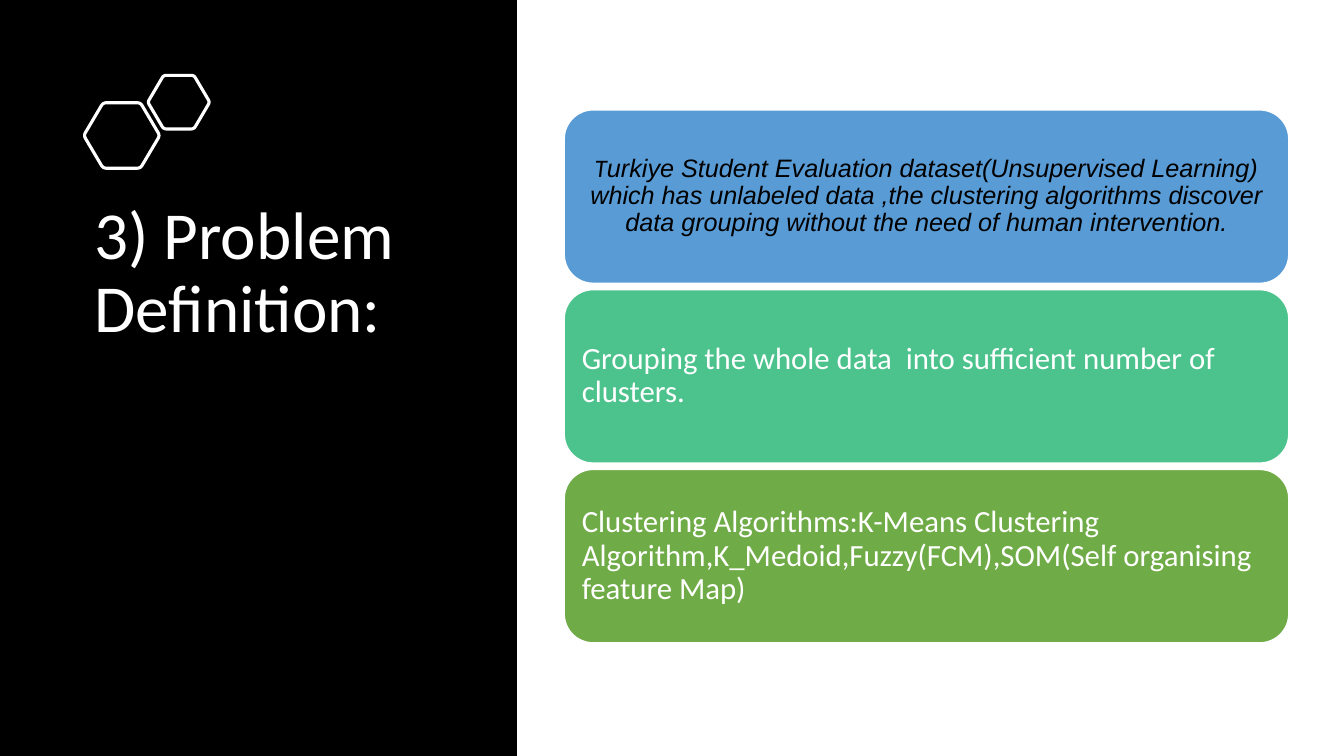
import pptx
import pptx.util
import pptx.dml.color
import pptx.enum.shapes
import pptx.enum.text

Cm = pptx.util.Cm
Pt = pptx.util.Pt
Shape = pptx.enum.shapes.MSO_SHAPE
Align = pptx.enum.text.PP_ALIGN
Anchor = pptx.enum.text.MSO_ANCHOR

HUES = {"black": "000000", "white": "FFFFFF", "blue": "599BD5",
        "teal": "4CC38C", "green": "6FAB46"}

HEX = [(-0.01, 0.5), (0.25, 0), (0.75, 0), (1.01, 0.5), (0.75, 1), (0.25, 1)]

CARDS = [
    ("blue", "black", 18, Align.CENTER, True, [
        [("T", "Calibri"),
         ("urkiye Student Evaluation dataset(Unsupervised Learning)", "Arial")],
        [("which has unlabeled data ,the clustering algorithms discover data "
          "grouping without the need of human intervention.", "Arial")]]),
    ("teal", "white", 22, Align.LEFT, False, [
        [("Grouping the whole data  into sufficient number of clusters.", "Calibri")]]),
    ("green", "white", 22, Align.LEFT, False, [
        [("Clustering Algorithms:K-Means Clustering Algorithm,K_Medoid,"
          "Fuzzy(FCM),SOM(Self organising feature Map)", "Calibri")]]),
]


def apply(item, form):
    for name, value in form.items():
        setattr(item, name, value)


def hue(name):
    return pptx.dml.color.RGBColor.from_string(HUES[name])


def paint(shape, fill=None, line=None, width=1):
    shape.shadow.inherit = False
    if fill:
        shape.fill.solid()
        shape.fill.fore_color.rgb = hue(fill)
    else:
        shape.fill.background()
    if line:
        shape.line.color.rgb = hue(line)
        shape.line.width = Pt(width)
    else:
        shape.line.fill.background()


def write(frame, paras, color, size, align, italic, anchor, pad_x, pad_y):
    apply(frame, {"word_wrap": True, "vertical_anchor": anchor,
                  "auto_size": pptx.enum.text.MSO_AUTO_SIZE.NONE,
                  "margin_left": Cm(pad_x), "margin_right": Cm(pad_x),
                  "margin_top": Cm(pad_y), "margin_bottom": Cm(pad_y)})
    for index, parts in enumerate(paras):
        para = frame.add_paragraph() if index else frame.paragraphs[0]
        apply(para, {"alignment": align, "line_spacing": 0.9,
                     "space_before": Pt(0), "space_after": Pt(0)})
        for text, font in parts:
            run = para.add_run()
            run.text = text
            apply(run.font, {"name": font, "size": Pt(size), "italic": italic})
            run.font.color.rgb = hue(color)


def mix(start, end, part):
    return tuple(a + (b - a) * part for a, b in zip(start, end))


def draw_hex(slide, left, top, width, height):
    spots = []
    for index, tip in enumerate(HEX):
        start = mix(tip, HEX[index - 1], 0.09)
        end = mix(tip, HEX[(index + 1) % len(HEX)], 0.09)
        for step in range(7):
            part = step / 6
            x, y = mix(mix(start, tip, part), mix(tip, end, part), part)
            spots.append((Cm(left + x * width), Cm(top + y * height)))
    path = slide.shapes.build_freeform(*spots[0])
    path.add_line_segments(spots[1:], close=True)
    paint(path.convert_to_shape(), line="white", width=2.25)


def draw_panel(slide, left, top, width, height):
    panel = slide.shapes.add_shape(
        Shape.RECTANGLE, Cm(left), Cm(top), Cm(width), Cm(height))
    paint(panel, "black")
    title = slide.shapes.title
    title.element.addprevious(panel.element)
    apply(title, {"left": Cm(left + 2.13), "top": Cm(top + 4.95),
                  "width": Cm(9.96), "height": Cm(8.89)})
    write(title.text_frame, [[("3) Problem Definition:", "Calibri")]],
          "white", 48, Align.LEFT, False, Anchor.TOP, 0.25, 0.13)
    draw_hex(slide, left + 2.13, top + 2.59, 1.88, 1.65)
    draw_hex(slide, left + 3.74, top + 1.9, 1.53, 1.35)


def draw_cards(slide, left, top, width, height, gap=0.16):
    tall = (height - gap * (len(CARDS) - 1)) / len(CARDS)
    for index, (fill, color, size, align, italic, paras) in enumerate(CARDS):
        card = slide.shapes.add_shape(
            Shape.ROUNDED_RECTANGLE, Cm(left), Cm(top + index * (tall + gap)),
            Cm(width), Cm(tall))
        card.adjustments[0] = 0.167
        paint(card, fill, "white")
        write(card.text_frame, paras, color, size, align, italic,
              Anchor.MIDDLE, 0.23, 0.23)


def main():
    deck = pptx.Presentation()
    apply(deck, {"slide_width": Cm(33.87), "slide_height": Cm(19.05)})
    slide = deck.slides.add_slide(deck.slide_layouts[5])
    draw_panel(slide, 0, 0, 13.03, 19.05)
    draw_cards(slide, 14.22, 2.77, 18.26, 13.43)
    deck.save("out.pptx")


if __name__ == "__main__":
    main()
